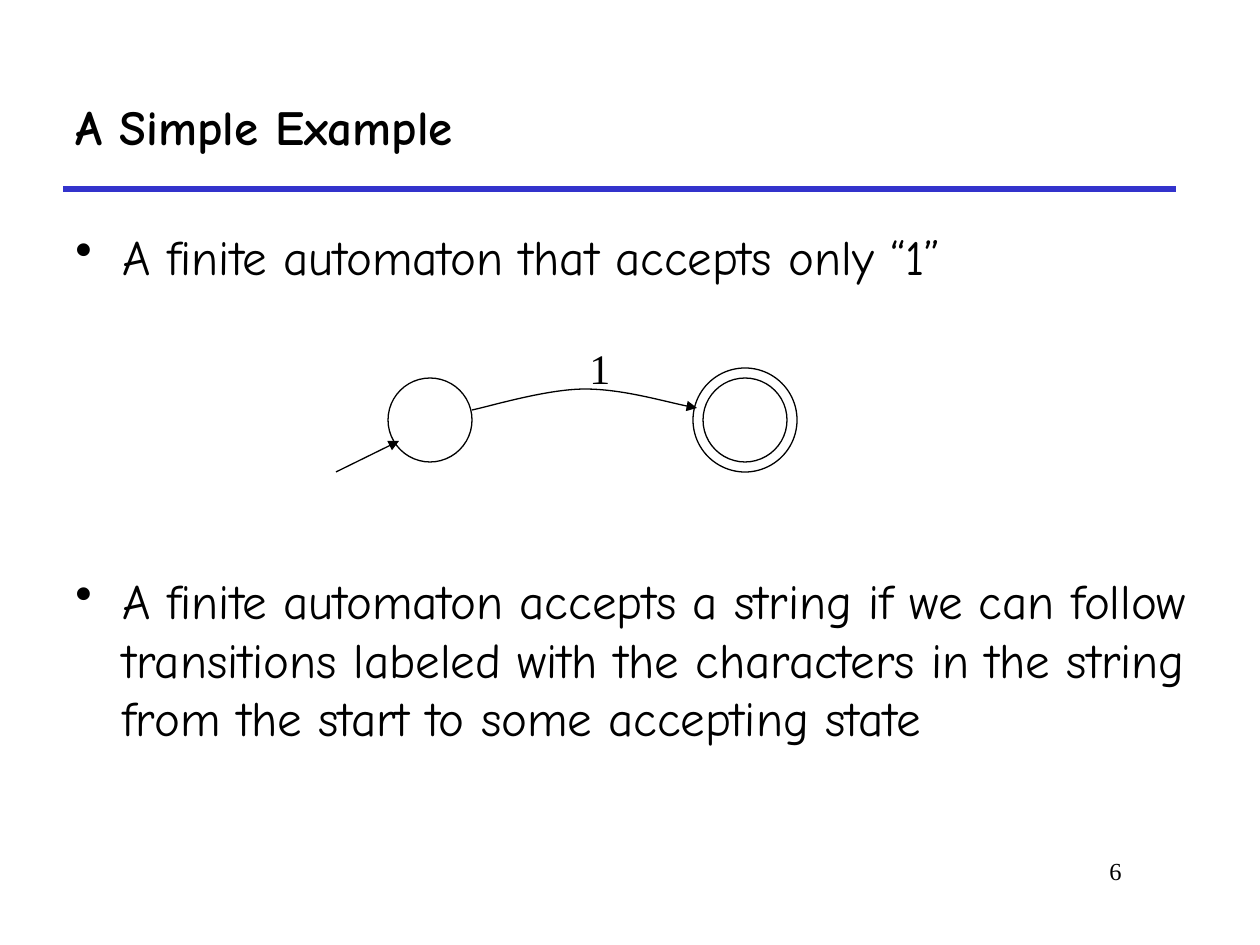
"""Build the slide showing a finite automaton that accepts only "1"."""
from lxml.etree import SubElement
from pptx import Presentation
from pptx.dml.color import RGBColor
from pptx.enum.shapes import MSO_CONNECTOR, MSO_SHAPE
from pptx.enum.text import MSO_ANCHOR, PP_ALIGN
from pptx.oxml.ns import qn
from pptx.util import Pt

SCALE = 914400 / 126
COLORS = {"ink": "000000", "rule": "3333CC"}
BODY_FONT = "Comic Neue"
NUMBER_FONT = "Times New Roman"

presentation = Presentation()
presentation.slide_width = round(1260 * SCALE)
presentation.slide_height = round(945 * SCALE)
slide = presentation.slides.add_slide(presentation.slide_layouts[6])


def add_text(text, box, font=BODY_FONT, size=28, bold=False, align=PP_ALIGN.LEFT,
             anchor=MSO_ANCHOR.TOP, wrap=True, bullet=False):
    shape = slide.shapes.add_textbox(*[round(value * SCALE) for value in box])
    frame = shape.text_frame
    frame.word_wrap = wrap
    frame.vertical_anchor = anchor
    paragraph = frame.paragraphs[0]
    paragraph.text = text
    paragraph.alignment = align
    if bullet:
        properties = paragraph._p.get_or_add_pPr()
        properties.set("marL", str(round(47 * SCALE)))
        properties.set("indent", str(round(-47 * SCALE)))
        SubElement(properties, qn("a:buChar"), char="•")
    paragraph.font.name = font
    paragraph.font.size = Pt(size)
    paragraph.font.bold = bold
    paragraph.font.color.rgb = RGBColor.from_string(COLORS["ink"])


def style_line(shape, color="ink", width=0.75, arrow=False):
    shape.line.color.rgb = RGBColor.from_string(COLORS[color])
    shape.line.width = Pt(width)
    if arrow:
        SubElement(shape.line._get_or_add_ln(), qn("a:tailEnd"), type="triangle")
    SubElement(shape._element.spPr, qn("a:effectLst"))


for start_x, start_y, end_x, end_y, style in [
    (63, 189, 1176, 189, {"color": "rule", "width": 3}),
    (336, 472, 399, 441, {"arrow": True}),
]:
    ends = [round(value * SCALE) for value in (start_x, start_y, end_x, end_y)]
    connector = slide.shapes.add_connector(MSO_CONNECTOR.STRAIGHT, *ends)
    style_line(connector, **style)

add_text("A Simple Example", (63, 63, 1113, 126), bold=True, anchor=MSO_ANCHOR.MIDDLE)
add_text("A finite automaton that accepts only “1”", (63, 220, 1144, 71), bullet=True)
add_text("A finite automaton accepts a string if we can follow transitions labeled with "
         "the characters in the string from the start to some accepting state",
         (63, 564, 1144, 187), bullet=True)
add_text("6", (955, 850, 179, 63), font=NUMBER_FONT, size=14, align=PP_ALIGN.RIGHT)
add_text("1", (577, 336, 47, 63), font=NUMBER_FONT, size=24, wrap=False)

for center_x, radius in [(430, 42), (745, 42), (745, 52)]:
    box = (center_x - radius, 420 - radius, 2 * radius, 2 * radius)
    state = slide.shapes.add_shape(MSO_SHAPE.OVAL, *[round(value * SCALE) for value in box])
    state.fill.background()
    style_line(state)

builder = slide.shapes.build_freeform(472, 410, scale=SCALE)
builder.add_line_segments(
    [(491, 406), (547, 389), (585, 389), (622, 389), (673, 404), (697, 408)], close=False)
transition = builder.convert_to_shape()
transition.fill.background()
style_line(transition, arrow=True)
curve_path = next(transition._element.iter(qn("a:path")))
segments = curve_path.findall(qn("a:lnTo"))
for first in range(0, len(segments), 3):
    curve = SubElement(curve_path, qn("a:cubicBezTo"))
    for segment in segments[first:first + 3]:
        curve.append(segment[0])
        curve_path.remove(segment)

presentation.save("out.pptx")
